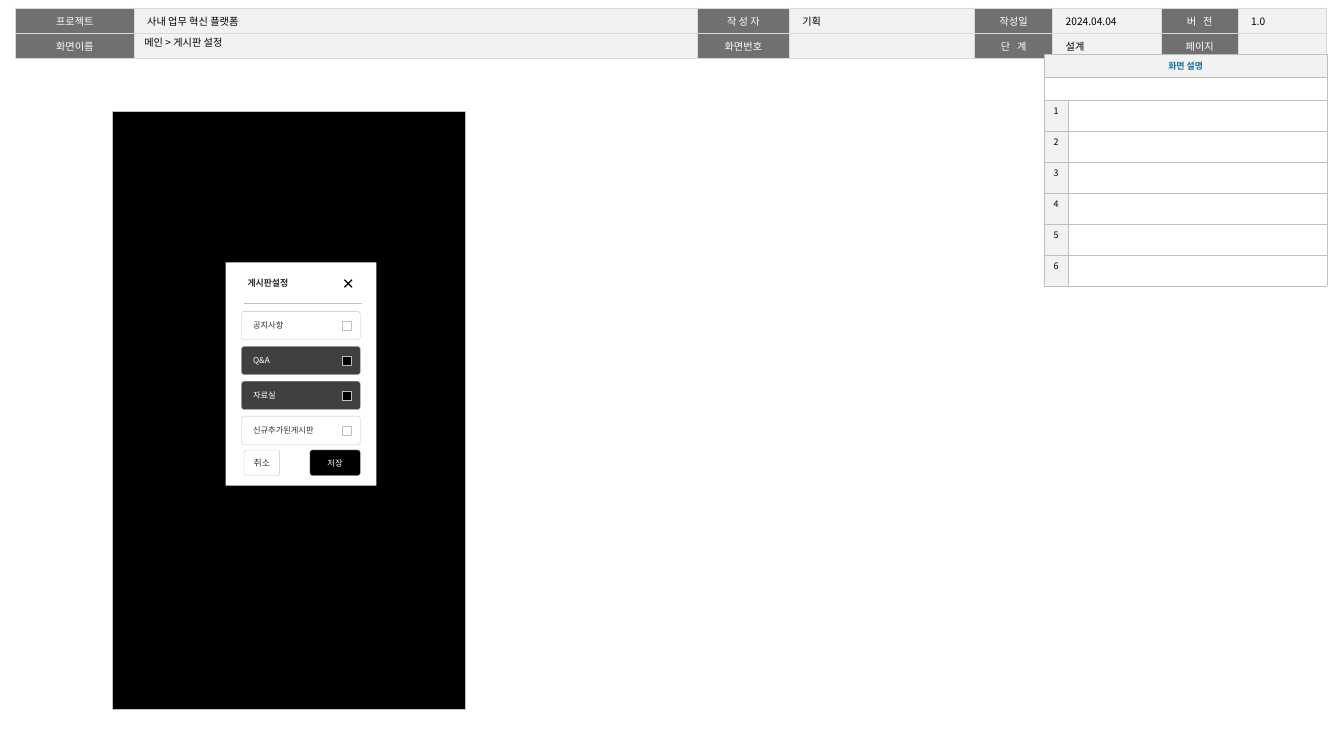
from dataclasses import dataclass

from lxml.etree import SubElement
from pptx import Presentation
from pptx.dml.color import RGBColor
from pptx.enum.shapes import MSO_CONNECTOR, MSO_SHAPE
from pptx.enum.text import MSO_ANCHOR, MSO_AUTO_SIZE, PP_ALIGN
from pptx.oxml.ns import qn
from pptx.util import Cm, Pt


@dataclass(frozen=True)
class Theme:
    font: str = "Noto Sans CJK KR"
    button_font: str = "Arial"
    black: str = "000000"
    white: str = "FFFFFF"
    ink: str = "2E2E2E"
    accent: str = "176F9B"
    label: str = "707070"
    pale: str = "F2F2F2"
    selected: str = "404040"
    line: str = "BFBFBF"
    header_line: str = "D9D9D9"
    header_size: float = 8
    body_size: float = 7
    item_size: float = 6.5
    hairline: float = 0.25


class Screen:
    """Draws the elements of one wireframe page."""

    def __init__(self, page, theme):
        self.page = page
        self.theme = theme

    def set_text(self, frame, text, size, color, insets, bold=False, font=None,
                 align=PP_ALIGN.LEFT, anchor=MSO_ANCHOR.MIDDLE):
        frame.word_wrap = True
        frame.auto_size = MSO_AUTO_SIZE.NONE
        frame.vertical_anchor = anchor
        frame.margin_left, frame.margin_top, frame.margin_right, frame.margin_bottom = (
            Cm(inset) for inset in insets)
        para = frame.paragraphs[0]
        para.alignment = align
        self.add_span(para, text, size, color, bold, font)

    def add_span(self, para, text, size, color, bold=False, font=None, spread=0):
        span = para.add_run()
        span.text = text
        span.font.size = Pt(size)
        span.font.bold = bold
        span.font.color.rgb = RGBColor.from_string(color)
        span.font.name = font or self.theme.font
        props = span._r.get_or_add_rPr()
        SubElement(props, qn("a:ea"), typeface=self.theme.font)
        if spread:
            props.set("spc", str(spread))

    def title(self, text, left, top, width, height):
        title = self.page.shapes.title
        title.left, title.top, title.width, title.height = map(Cm, (left, top, width, height))
        self.set_text(title.text_frame, text, self.theme.header_size, self.theme.black,
                      (0.28, 0.13, 0.28, 0.13))
        # Bring the title in front of the header table
        self.page.shapes.element.append(title.element)

    def shape(self, left, top, width, height, fill, line=None, weight=0.25, rounded=False):
        kind = MSO_SHAPE.ROUNDED_RECTANGLE if rounded else MSO_SHAPE.RECTANGLE
        box = self.page.shapes.add_shape(kind, Cm(left), Cm(top), Cm(width), Cm(height))
        box.shadow.inherit = False
        box.fill.solid()
        box.fill.fore_color.rgb = RGBColor.from_string(fill)
        if rounded:
            box.adjustments[0] = 0.1
        if line:
            box.line.color.rgb = RGBColor.from_string(line)
            box.line.width = Pt(weight)
        else:
            box.line.fill.background()
        return box

    def line(self, x1, y1, x2, y2, color, weight):
        rule = self.page.shapes.add_connector(
            MSO_CONNECTOR.STRAIGHT, Cm(x1), Cm(y1), Cm(x2), Cm(y2))
        rule.line.color.rgb = RGBColor.from_string(color)
        rule.line.width = Pt(weight)
        SubElement(rule.element.spPr, qn("a:effectLst"))

    def table(self, left, top, widths, heights):
        table = self.page.shapes.add_table(
            len(heights), len(widths), Cm(left), Cm(top),
            Cm(sum(widths)), Cm(sum(heights))).table
        table.first_row = table.horz_banding = False
        for column, width in zip(table.columns, widths):
            column.width = Cm(width)
        for row, height in zip(table.rows, heights):
            row.height = Cm(height)
        return table

    def cell(self, cell, text, fill, border, weight, size, color, side, bold=False,
             centred=False, anchor=MSO_ANCHOR.TOP, spacing=None, spread=0):
        cell.fill.solid()
        cell.fill.fore_color.rgb = RGBColor.from_string(fill)
        cell.vertical_anchor = anchor
        cell.margin_left = cell.margin_right = Cm(side)
        cell.margin_top = cell.margin_bottom = Cm(0.13)
        para = cell.text_frame.paragraphs[0]
        para.alignment = PP_ALIGN.CENTER if centred else PP_ALIGN.LEFT
        if spacing:
            para.line_spacing = spacing
        if text:
            self.add_span(para, text, size, color, bold, spread=spread)
        else:
            SubElement(para._p, qn("a:endParaRPr"), sz=str(int(size * 100)))
        # Borders come before the fill in the cell properties
        props = cell._tc.get_or_add_tcPr()
        for index, edge in enumerate(("lnL", "lnR", "lnT", "lnB")):
            outline = SubElement(props, qn(f"a:{edge}"), w=str(int(Pt(weight))))
            SubElement(SubElement(outline, qn("a:solidFill")), qn("a:srgbClr"), val=border)
            props.insert(index, outline)


def draw_header(screen):
    theme = screen.theme
    rows = (
        ("프로젝트", "사내 업무 혁신 플랫폼", "작 성 자", "기획", "작성일", "2024.04.04", "버 전", "1.0"),
        ("화면이름", "", "화면번호", "", "단 계", "설계", "페이지", ""),
    )
    table = screen.table(0.43, 0.23, (3.3, 15.65, 2.55, 5.15, 2.17, 3.02, 2.13, 2.45), (0.62, 0.62))
    for r, texts in enumerate(rows):
        for c, text in enumerate(texts):
            is_label = c % 2 == 0
            screen.cell(table.cell(r, c), text, theme.label if is_label else theme.pale,
                        theme.header_line, 1, theme.header_size,
                        theme.white if is_label else theme.black, 0.36, centred=is_label,
                        spacing=1.05, spread=180 if text in ("버 전", "단 계") else 0)


def draw_description(screen):
    theme = screen.theme
    style = dict(border=theme.line, weight=theme.hairline, size=theme.body_size, side=0.1)
    table = screen.table(29.01, 1.5, (0.66, 7.2), (0.64,) * 2 + (0.86,) * 6)
    for r, (text, fill) in enumerate((("화면 설명", theme.pale), ("", theme.white))):
        table.cell(r, 0).merge(table.cell(r, 1))
        for c, content in enumerate((text, "")):
            screen.cell(table.cell(r, c), content, fill, color=theme.accent, bold=True,
                        centred=True, anchor=MSO_ANCHOR.MIDDLE, **style)
    for number in range(1, 7):
        screen.cell(table.cell(number + 1, 0), str(number), theme.pale,
                    color=theme.black, centred=True, **style)
        screen.cell(table.cell(number + 1, 1), "", theme.white, color=theme.black, **style)


def draw_dialog(screen):
    theme = screen.theme

    # Panel with heading, rule and close mark
    panel = screen.shape(6.27, 7.29, 4.19, 6.2, theme.white)
    screen.set_text(panel.text_frame, "게시판설정", theme.body_size, theme.ink,
                    (0.61, 0.41, 0.41, 0.13), bold=True, anchor=MSO_ANCHOR.TOP)
    screen.line(6.78, 8.41, 10.06, 8.41, theme.line, theme.hairline)
    for start, end in ((7.77, 7.98), (7.98, 7.77)):
        screen.line(9.57, start, 9.78, end, theme.black, 1)

    # Board list with check boxes
    boards = (("공지사항", False), ("Q&A", True), ("자료실", True), ("신규추가된게시판", False))
    for index, (name, selected) in enumerate(boards):
        top = 8.65 + index * 0.97
        item = screen.shape(6.71, top, 3.3, 0.79, theme.selected if selected else theme.white,
                            theme.line, rounded=True)
        screen.set_text(item.text_frame, name, theme.item_size,
                        theme.white if selected else theme.ink, (0.3, 0, 0.3, 0))
        screen.shape(9.52, top + 0.27, 0.25, 0.25,
                     theme.black if selected else theme.white, theme.line)

    # Buttons
    buttons = (("취소", 6.78, 0.99, theme.white, theme.ink, theme.body_size),
               ("저장", 8.61, 1.4, theme.black, theme.white, theme.item_size))
    for name, left, width, fill, color, size in buttons:
        button = screen.shape(left, 12.5, width, 0.71, fill, theme.line, rounded=True)
        screen.set_text(button.text_frame, name, size, color, (0.1, 0, 0.1, 0),
                        font=theme.button_font, align=PP_ALIGN.CENTER)


def main():
    deck = Presentation()
    deck.slide_width, deck.slide_height = Cm(37.34), Cm(21)
    screen = Screen(deck.slides.add_slide(deck.slide_layouts[5]), Theme())

    draw_header(screen)
    # Phone screen behind the dialog
    screen.shape(3.12, 3.1, 9.8, 16.6, screen.theme.black, screen.theme.line, 0.5)
    screen.title("메인 > 게시판 설정", 3.73, 0.97, 9.78, 0.41)
    draw_description(screen)
    draw_dialog(screen)

    deck.save("out.pptx")


if __name__ == "__main__":
    main()
